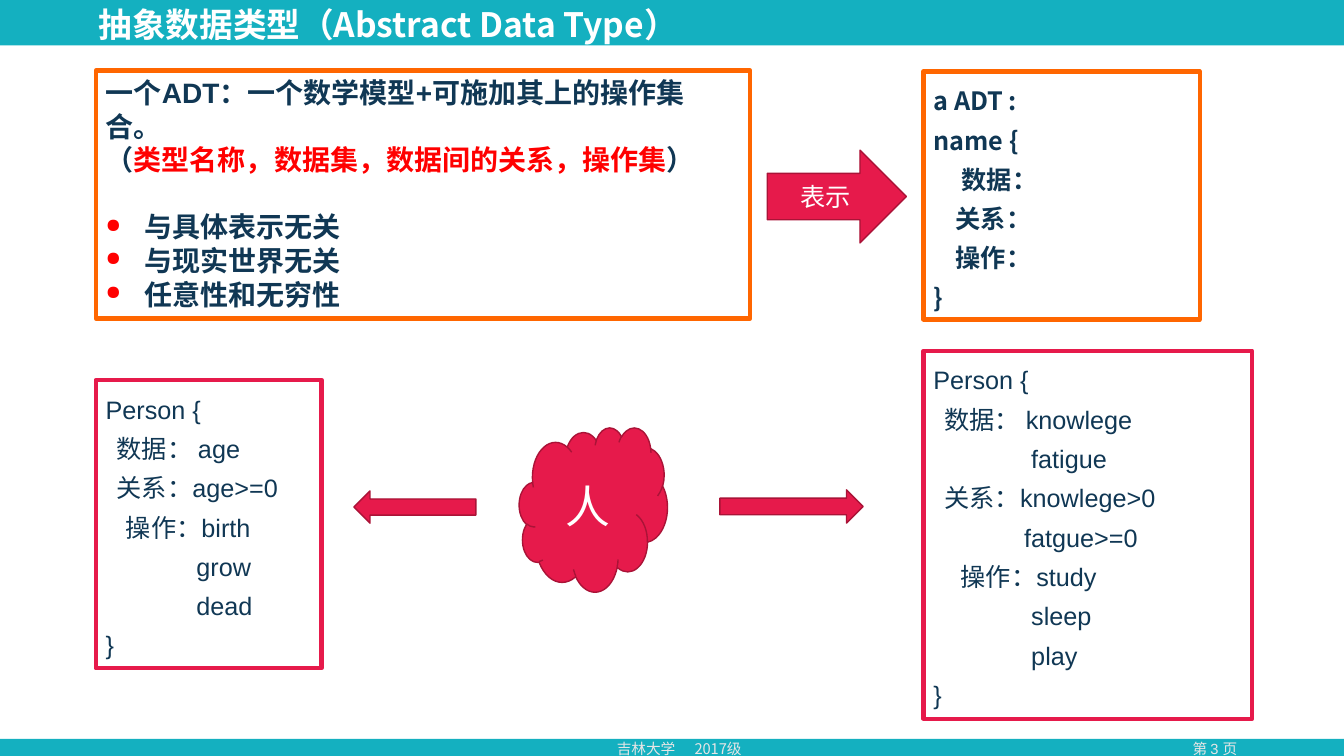
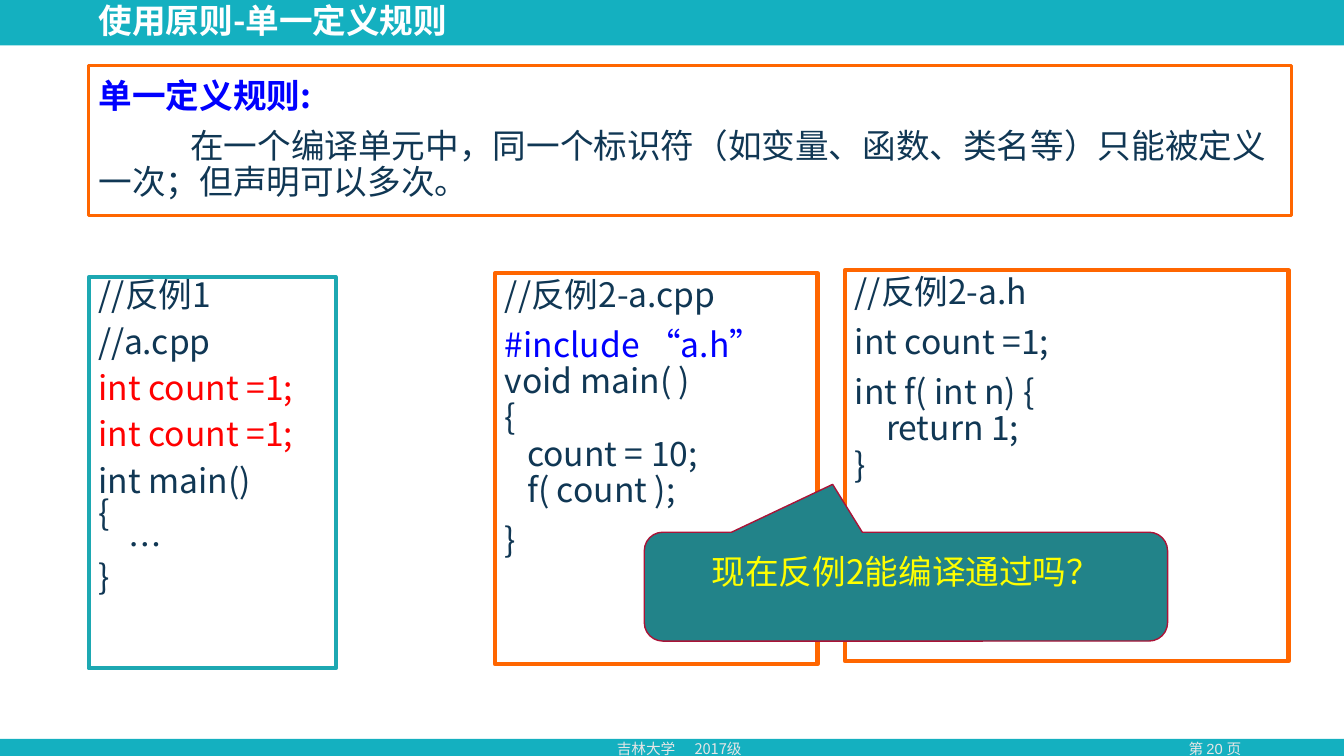
from lxml.etree import SubElement
from pptx import Presentation
from pptx.dml.color import RGBColor
from pptx.enum.shapes import MSO_SHAPE as Shape
from pptx.enum.text import MSO_ANCHOR as Anchor, PP_ALIGN as Align
from pptx.oxml.ns import qn
from pptx.util import Inches, Pt

NOTO = "Noto Sans CJK SC"
TEAL, WHITE, NAVY, PALE = "14B0C0", "FFFFFF", "103754", "E7E6E6"
ORANGE, CRIMSON, WINE = "FF6600", "E61A4B", "AA1337"
RED, BLUE, YELLOW = "FF0000", "0000FF", "FFFF00"


def rgb(code):
    return RGBColor.from_string(code)


def write(frame, text, size=18, font=NOTO, color=NAVY, bold=False, align=Align.LEFT,
          spacing=1.0, before=0, left=0, first=0, bullet=None, join=False):
    paragraph = frame.paragraphs[-1]
    if not join:
        if paragraph.runs:
            paragraph = frame.add_paragraph()
        paragraph.alignment = align
        paragraph.line_spacing = spacing
        paragraph.space_before = Pt(before)
        settings = paragraph._p.get_or_add_pPr()
        settings.set("marL", str(Inches(left)))
        settings.set("indent", str(Inches(first)))
        settings.set("hangingPunct", "0")
        if bullet:
            tint = SubElement(settings, qn("a:buClr"))
            SubElement(tint, qn("a:srgbClr"), val=bullet)
            SubElement(settings, qn("a:buSzPct"), val="70000")
            SubElement(settings, qn("a:buChar"), char="●")
    run = paragraph.add_run()
    run.text = text
    run.font.size = Pt(size)
    run.font.bold = bold
    run.font.color.rgb = rgb(color)
    run.font.name = font
    SubElement(run._r.get_or_add_rPr(), qn("a:ea"), typeface=NOTO)


class Lecture:
    """Hold the deck, its shared style and the current slide."""

    def __init__(self):
        self.deck = Presentation()
        self.deck.slide_width = Inches(13.33)
        self.deck.slide_height = Inches(7.5)
        self.slide = None

    def start(self, title, page, anchor):
        self.slide = self.deck.slides.add_slide(self.deck.slide_layouts[6])
        self.shape(Shape.RECTANGLE, (0, 0, 13.33, 0.45), fill=TEAL)
        self.shape(Shape.RECTANGLE, (0, 7.33, 13.33, 0.17), fill=TEAL)
        self.label((11.32, 7.29, 1.46, 0.27), f"第 {page} 页", size=10.5,
                   font="Arial", color=PALE, align=Align.CENTER)
        for left, text in ((6.02, "吉林大学"), (6.79, "2017级")):
            self.label((left, 7.29, 1, 0.28), text, size=10.5, color=PALE)
        self.label((0.88, 0.03, 7.68, 0.39), title, anchor, size=24,
                   color=WHITE, bold=True, spacing=0.9)

    def label(self, place, text, anchor=Anchor.TOP, **style):
        frame = self.slide.shapes.add_textbox(*map(Inches, place)).text_frame
        frame.word_wrap = True
        frame.vertical_anchor = anchor
        write(frame, text, **style)

    def shape(self, kind, place, fill=None, line=None, width=1):
        figure = self.slide.shapes.add_shape(kind, *map(Inches, place))
        figure.shadow.inherit = False
        if fill:
            figure.fill.solid()
            figure.fill.fore_color.rgb = rgb(fill)
        else:
            figure.fill.background()
        if line:
            figure.line.color.rgb = rgb(line)
            figure.line.width = Pt(width)
        else:
            figure.line.fill.background()
        return figure

    def badge(self, kind, place, text="", fill=CRIMSON, **style):
        figure = self.shape(kind, place, fill, WINE)
        figure.text_frame.vertical_anchor = Anchor.MIDDLE
        if text:
            write(figure.text_frame, text, align=Align.CENTER, **style)
        return figure

    def panel(self, place, border, lines, width=3, anchor=Anchor.TOP, right=0.1, **style):
        frame = self.shape(Shape.RECTANGLE, place, line=border, width=width).text_frame
        frame.word_wrap = True
        frame.vertical_anchor = anchor
        frame.margin_right = Inches(right)
        for text, special in lines:
            write(frame, text, **{**style, **special})


def abstract_data_type(lecture):
    lecture.start("抽象数据类型（Abstract Data Type）", 3, Anchor.TOP)
    point = dict(left=0.38, first=-0.38, bullet=RED)
    lecture.panel((0.95, 0.7, 6.49, 2.46), ORANGE, [
        ("一个ADT：一个数学模型+可施加其上的操作集合。", {}),
        ("（", {}),
        ("类型名称，数据集，数据间的关系，操作集", dict(color=RED, join=True)),
        ("）", dict(join=True)),
        ("与具体表示无关", dict(before=24, **point)),
        ("与现实世界无关", point),
        ("任意性和无穷性", point),
    ], right=0.2, size=20, font="Arial", bold=True)
    lecture.panel((9.16, 0.71, 2.74, 2.46), ORANGE, [
        ("a ADT :", {}),
        ("name {", {}),
        ("数据：", dict(left=0.28)),
        ("关系：", dict(left=0.22)),
        ("操作：", dict(left=0.22)),
        ("}", {}),
    ], bold=True, spacing=1.3)
    lecture.badge(Shape.RIGHT_ARROW, (7.61, 1.49, 1.38, 0.92), "表示", color=WHITE)
    lecture.panel((0.95, 3.77, 2.24, 2.86), CRIMSON, [
        ("Person {", {}),
        ("数据： age", dict(left=0.11)),
        ("关系：age>=0", dict(left=0.11)),
        ("操作：birth", dict(left=0.2)),
        ("grow", dict(left=0.9)),
        ("dead", dict(left=0.9)),
        ("}", {}),
    ], font="Arial", spacing=1.3)
    lecture.badge(Shape.CLOUD, (5.15, 4.24, 1.47, 1.63), "人", size=32, color=WHITE)
    lecture.panel((9.16, 3.48, 3.26, 3.65), CRIMSON, [
        ("Person {", {}),
        ("数据： knowlege", dict(left=0.11)),
        ("fatigue", dict(left=0.97)),
        ("关系：knowlege>0", dict(left=0.11)),
        ("fatgue>=0", dict(left=0.9)),
        ("操作：study", dict(left=0.27)),
        ("sleep", dict(left=0.97)),
        ("play", dict(left=0.97)),
        ("}", {}),
    ], font="Arial", spacing=1.3)
    lecture.badge(Shape.LEFT_ARROW, (3.51, 4.87, 1.21, 0.32))
    lecture.badge(Shape.RIGHT_ARROW, (7.14, 4.86, 1.42, 0.33))


def one_definition_rule(lecture):
    lecture.start("使用原则-单一定义规则", 20, Anchor.MIDDLE)
    code = dict(size=24, spacing=0.9, before=10)
    tight = dict(before=0)
    lecture.panel((0.88, 0.65, 11.93, 1.49), ORANGE, [
        ("单一定义规则:", dict(color=BLUE, bold=True)),
        ("在一个编译单元中，同一个标识符（如变量、函数、类名等）只能被定义一次；但声明可以多次。",
         dict(first=0.91)),
    ], width=2.25, anchor=Anchor.MIDDLE, **code)
    lecture.panel((0.88, 2.75, 2.45, 3.88), "1DA8B2", [
        ("//反例1", {}),
        ("//a.cpp", {}),
        ("int count =1;", dict(color=RED)),
        ("int count =1;", dict(color=RED)),
        ("int main()", {}),
        ("{", tight),
        ("…", dict(left=0.3, before=0)),
        ("}", tight),
    ], **{**code, "spacing": 0.8})
    lecture.panel((4.91, 2.71, 3.2, 3.88), ORANGE, [
        ("//反例2-a.cpp", {}),
        ("#include “a.h”", dict(color=BLUE)),
        ("void main( )", tight),
        ("{", tight),
        ("count = 10;", dict(left=0.22, before=0)),
        ("f( count );", dict(left=0.22, before=0)),
        ("}", {}),
    ], **code)
    lecture.panel((8.38, 2.68, 4.4, 3.88), ORANGE, [
        ("//反例2-a.h", {}),
        ("int count =1;", {}),
        ("int f( int n) {", {}),
        ("return 1;", dict(left=0.31, before=0)),
        ("}", tight),
    ], **code)
    question = lecture.badge(Shape.ROUNDED_RECTANGULAR_CALLOUT, (6.39, 5.28, 5.19, 1.08),
                             "现在反例2能编译通过吗？", fill="228389", size=24, color=YELLOW)
    question.text_frame.margin_bottom = Inches(0.35)
    for index, ratio in enumerate((-0.14, -0.94, 0.17)):
        question.adjustments[index] = ratio


def main():
    lecture = Lecture()
    abstract_data_type(lecture)
    one_definition_rule(lecture)
    lecture.deck.save("out.pptx")


if __name__ == "__main__":
    main()
